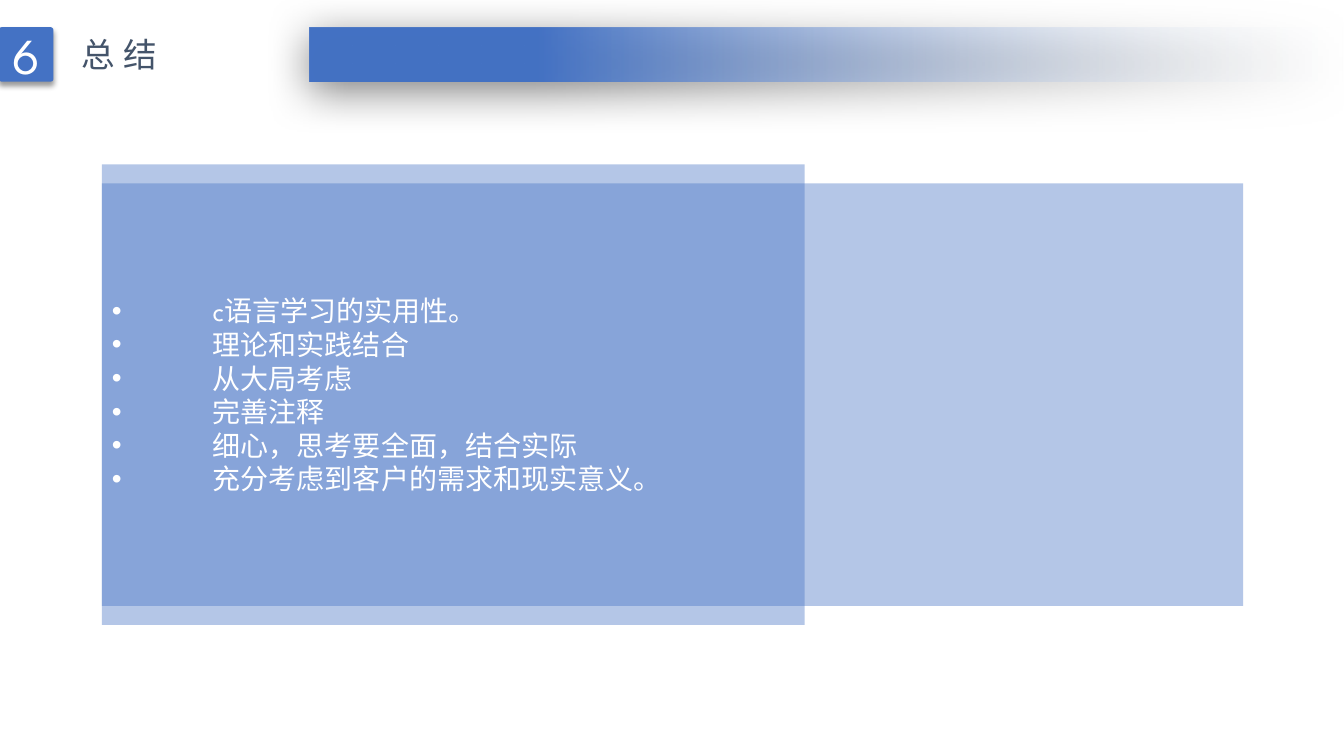
from lxml.etree import SubElement
from pptx import Presentation
from pptx.dml.color import RGBColor
from pptx.enum.shapes import MSO_SHAPE
from pptx.enum.text import MSO_ANCHOR, MSO_AUTO_SIZE, PP_ALIGN
from pptx.oxml.ns import qn
from pptx.util import Emu, Inches, Pt

BLUE = RGBColor(0x44, 0x72, 0xC4)
PALE = RGBColor(0xF7, 0xFA, 0xFD)
SLATE = RGBColor(0x44, 0x54, 0x6A)
WHITE = RGBColor(0xFF, 0xFF, 0xFF)
LATIN, CHINESE = "League Spartan", "Noto Sans CJK SC"

POINTS = [
    "c语言学习的实用性。",
    "理论和实践结合",
    "从大局考虑",
    "完善注释",
    "细心，思考要全面，结合实际",
    "充分考虑到客户的需求和现实意义。",
]


def place(shape, left, top, width, height):
    shape.left, shape.top = Inches(left), Inches(top)
    shape.width, shape.height = Inches(width), Inches(height)


def add_block(slide, kind, box):
    block = slide.shapes.add_shape(kind, *(Inches(length) for length in box))
    block.shadow.inherit = False
    block.line.fill.background()
    return block


def fill_blue(shape, opacity=100):
    shape.fill.solid()
    shape.fill.fore_color.rgb = BLUE
    if opacity < 100:
        fade_first_color(shape, opacity)


def fade_first_color(shape, opacity):
    color = next(shape._element.spPr.iter(qn("a:srgbClr")))
    SubElement(color, qn("a:alpha"), val=str(opacity * 1000))


def cast_shadow(shape, opacity, blur, distance, angle):
    effects = shape._element.spPr.find(qn("a:effectLst"))
    shadow = SubElement(effects, qn("a:outerShdw"), blurRad=str(Pt(blur)),
                        dist=str(Pt(distance)), dir=str(angle * 60000),
                        algn="ctr", rotWithShape="0")
    color = SubElement(shadow, qn("a:srgbClr"), val="000000")
    SubElement(color, qn("a:alpha"), val=str(opacity * 1000))


def set_frame(shape, anchor, wrap=True):
    frame = shape.text_frame
    frame.auto_size = MSO_AUTO_SIZE.NONE
    frame.word_wrap = wrap
    frame.vertical_anchor = anchor
    frame.margin_left = frame.margin_right = Inches(0.1)
    frame.margin_top = frame.margin_bottom = Inches(0.05)
    return frame


def add_text(paragraph, text, size, color, latin=LATIN):
    run = paragraph.add_run()
    run.text = text
    run.font.size = Pt(size)
    run.font.name = latin
    run.font.color.rgb = color
    SubElement(run._r.get_or_add_rPr(), qn("a:ea"), typeface=CHINESE)
    return run


def build_header(slide, left, top, width, height):
    """Number badge, title and a bar that fades out to the right."""
    bar_left = 3.07
    bar = add_block(slide, MSO_SHAPE.RECTANGLE,
                    (bar_left, top, left + width - bar_left, height))
    bar.fill.gradient()
    bar.fill.gradient_angle = 180
    for stop, color, position in zip(bar.fill.gradient_stops, (PALE, BLUE), (0, 0.78)):
        stop.color.rgb = color
        stop.position = position
    fade_first_color(bar, 0)
    cast_shadow(bar, 50, 31, 6, 97)

    badge = add_block(slide, MSO_SHAPE.ROUNDED_RECTANGLE, (left, top, height, height))
    badge.adjustments[0] = 0.05
    fill_blue(badge)
    cast_shadow(badge, 40, 4, 3, 90)
    number = set_frame(badge, MSO_ANCHOR.MIDDLE).paragraphs[0]
    number.alignment = PP_ALIGN.CENTER
    add_text(number, "6", 36, WHITE)

    title = slide.shapes.title
    place(title, left + 0.72, top + 0.02, 1.04, 0.5)
    heading = set_frame(title, MSO_ANCHOR.TOP, wrap=False).paragraphs[0]
    heading.alignment = PP_ALIGN.LEFT
    run = add_text(heading, "总结", 24, SLATE, CHINESE)
    run.font._element.set("spc", "600")


def build_summary(slide, left, top, width, height):
    """Bulleted panel, overlapping a wider panel behind it."""
    overhang = 0.19
    backdrop = add_block(slide, MSO_SHAPE.RECTANGLE,
                         (left, top + overhang, width, height - 2 * overhang))
    fill_blue(backdrop, 40)
    slide.shapes._spTree.insert(2, backdrop._element)

    panel = slide.placeholders[1]
    place(panel, left, top, 6.97, height)
    fill_blue(panel, 40)
    frame = set_frame(panel, MSO_ANCHOR.MIDDLE)
    indent = Inches(1)
    for index, point in enumerate(POINTS):
        paragraph = frame.add_paragraph() if index else frame.paragraphs[0]
        properties = paragraph._p.get_or_add_pPr()
        properties.set("marL", str(indent))
        properties.set("indent", str(Emu(-indent)))
        SubElement(properties, qn("a:buFont"), typeface="Arial")
        SubElement(properties, qn("a:buChar"), char="•")
        paragraph.alignment = PP_ALIGN.LEFT
        paragraph.space_before = Pt(0)
        add_text(paragraph, point, 20, WHITE)


def main():
    deck = Presentation()
    deck.slide_width, deck.slide_height = Inches(13.33), Inches(7.5)
    slide = deck.slides.add_slide(deck.slide_layouts[1])
    build_summary(slide, 1.01, 1.63, 11.32, 4.57)
    build_header(slide, -0.01, 0.27, 13.34, 0.54)
    deck.save("out.pptx")


if __name__ == "__main__":
    main()
